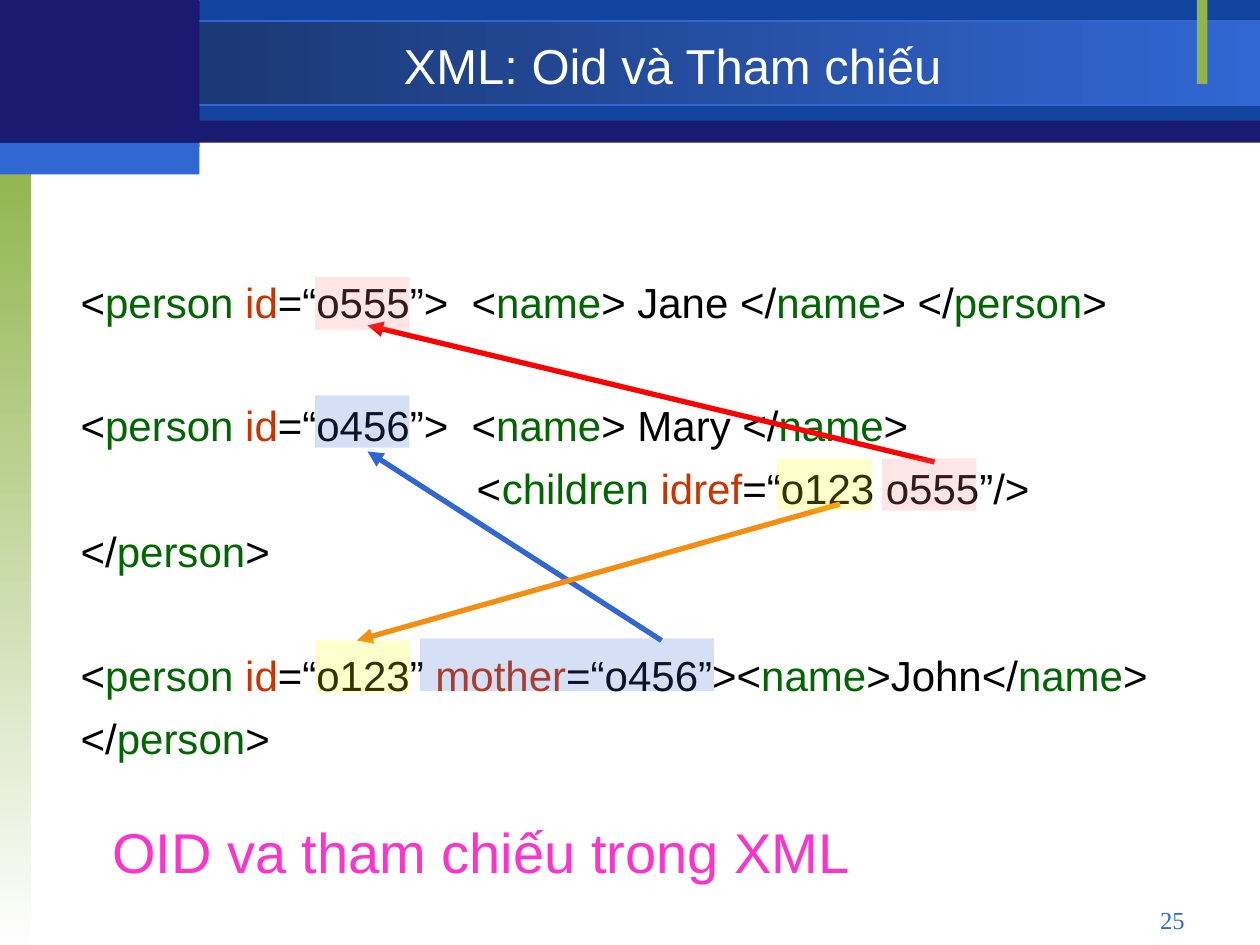
import pptx
import pptx.util
import pptx.dml.color
import pptx.enum.dml
import pptx.enum.shapes
import pptx.enum.text
import pptx.oxml
import pptx.oxml.ns
import lxml.etree

ALIGN = pptx.enum.text.PP_ALIGN
ANCHOR = pptx.enum.text.MSO_ANCHOR

NAVY, ROYAL, BLUE, GREEN = "1A1A70", "12449E", "3167D3", "90B54D"
BLACK, WHITE, TAG, ATTR = "000000", "FFFFFF", "006600", "CC3300"
YELLOW, PINK, RED, ORANGE = "FFFF00", "FF8181", "FF0000", "F48D10"

TAGS = {"person", "name", "children"}
ATTRS = {"id", "idref", "mother"}

# Code lines: "|" parts the tokens; the number is the space before in points
LINE_GAP, BLOCK_GAP = 7.2, 42
CODE = [
    (0, "<|person |id|=“o555”>  <|name|> Jane </|name|> </|person|>"),
    (BLOCK_GAP, "<|person |id|=“o456”>  <|name|> Mary </|name|>"),
    (LINE_GAP, "                                  <|children |idref|=“o123 o555”/>"),
    (LINE_GAP, "</|person|>"),
    (BLOCK_GAP, "<|person |id|=“o123” |mother|=“o456”><|name|>John</|name|>"),
    (LINE_GAP, "</|person|>"),
]


def rgb(value):
    return pptx.dml.color.RGBColor.from_string(value)


def add_run(p, text, size=24, font="Arial", color=BLACK):
    r = p.add_run()
    r.text = text
    r.font.size = pptx.util.Pt(size)
    r.font.name = font
    r.font.color.rgb = rgb(color)
    return r


class Page:
    """Places elements on a grid of 120 columns by 90 rows."""

    def __init__(self, prs):
        self.cell = prs.slide_width / 120
        self.s = prs.slides.add_slide(prs.slide_layouts[5])
        self.s.background.fill.solid()
        self.s.background.fill.fore_color.rgb = rgb(WHITE)

    def at(self, *cells):
        return [round(c * self.cell) for c in cells]

    def rect(self, box, color, to_color=None, angle=0, line=None, alpha=None):
        sp = self.s.shapes.add_shape(
            pptx.enum.shapes.MSO_SHAPE.RECTANGLE, *self.at(*box))
        sp.shadow.inherit = False
        if to_color:
            sp.fill.gradient()
            sp.fill.gradient_angle = angle
            for stop, value in zip(sp.fill.gradient_stops, (color, to_color)):
                stop.color.rgb = rgb(value)
        else:
            sp.fill.solid()
            sp.fill.fore_color.rgb = rgb(color)
        if alpha:
            clr = sp.fill._xPr.find(".//" + pptx.oxml.ns.qn("a:srgbClr"))
            lxml.etree.SubElement(clr, pptx.oxml.ns.qn("a:alpha"),
                                  val=str(alpha * 1000))
        if line:
            sp.line.color.rgb = rgb(line)
            sp.line.width = pptx.util.Pt(0.75)
        else:
            sp.line.fill.background()

    def arrow(self, start, end, color):
        c = self.s.shapes.add_connector(
            pptx.enum.shapes.MSO_CONNECTOR.STRAIGHT, *self.at(*start, *end))
        c.line.color.rgb = rgb(color)
        c.line.width = pptx.util.Pt(3)
        lxml.etree.SubElement(c.line._get_or_add_ln(),
                              pptx.oxml.ns.qn("a:tailEnd"), type="triangle")
        lxml.etree.SubElement(c._element.spPr, pptx.oxml.ns.qn("a:effectLst"))

    def title(self, box, text, **fmt):
        sp = self.s.shapes.title
        self.s.shapes._spTree.append(sp._element)  # in front of the bands
        sp.left, sp.top, sp.width, sp.height = self.at(*box)
        tf = sp.text_frame
        tf.word_wrap = False
        tf.vertical_anchor = ANCHOR.MIDDLE
        p = tf.paragraphs[0]
        p.alignment = ALIGN.CENTER
        add_run(p, text, **fmt)

    def text(self, box, text, align=ALIGN.LEFT, wrap=True, **fmt):
        tf = self.s.shapes.add_textbox(*self.at(*box)).text_frame
        tf.word_wrap = wrap
        p = tf.paragraphs[0]
        p.alignment = align
        add_run(p, text, **fmt)

    def code(self, box, lines):
        tf = self.s.shapes.add_textbox(*self.at(*box)).text_frame
        tf.word_wrap = True
        for i, (gap, line) in enumerate(lines):
            p = tf.add_paragraph() if i else tf.paragraphs[0]
            if gap:
                p.space_before = pptx.util.Pt(gap)
            for token in line.split("|"):
                word = token.strip()
                color = TAG if word in TAGS else ATTR if word in ATTRS else BLACK
                add_run(p, token, color=color)


def main():
    prs = pptx.Presentation()
    prs.slide_width = pptx.util.Inches(10)
    prs.slide_height = pptx.util.Inches(7.5)
    page = Page(prs)

    # Header bands and side bar
    page.rect((0, 0.1, 120, 13.5), NAVY)
    page.rect((19, 0, 101, 11.5), ROYAL)
    page.rect((0, 2, 120, 8), BLUE, "162F61", angle=180, line=BLUE)
    page.rect((0, 15, 3, 75), GREEN, "FEFEFE", angle=270)
    page.rect((114, 0, 1, 8), GREEN)
    page.rect((0, 0, 19, 14), NAVY)
    page.rect((0, 13.6, 19, 3), BLUE)

    # Title, code and caption
    page.title((37.1, 2.8, 53.9, 6.8), "XML: Oid và Tham chiếu",
               size=28, color=WHITE)
    page.code((6.5, 25.7, 113.5, 46.7), CODE)
    page.text((9.5, 77.3, 72.7, 7.7), "OID va tham chiếu trong XML",
              wrap=False, size=32, color="FF33CC")

    # References from an idref to its id
    page.rect((40, 60.8, 28, 5), BLUE, alpha=20)
    page.arrow((63, 61), (35, 43), BLUE)
    page.arrow((89, 44), (35, 31), RED)
    page.arrow((80, 48), (34, 61), ORANGE)

    # Highlighted identifiers
    for col, row, color in [(30, 37.65, BLUE), (74, 43.65, YELLOW),
                            (30, 61, YELLOW), (84, 43.65, PINK),
                            (30, 26.4, PINK)]:
        page.rect((col, row, 9, 5), color, alpha=20)

    # Page number
    page.text((86, 85.6, 28, 3.2), "25", align=ALIGN.RIGHT,
              size=14, font="Times New Roman", color=BLUE)

    prs.save("out.pptx")


if __name__ == "__main__":
    main()
